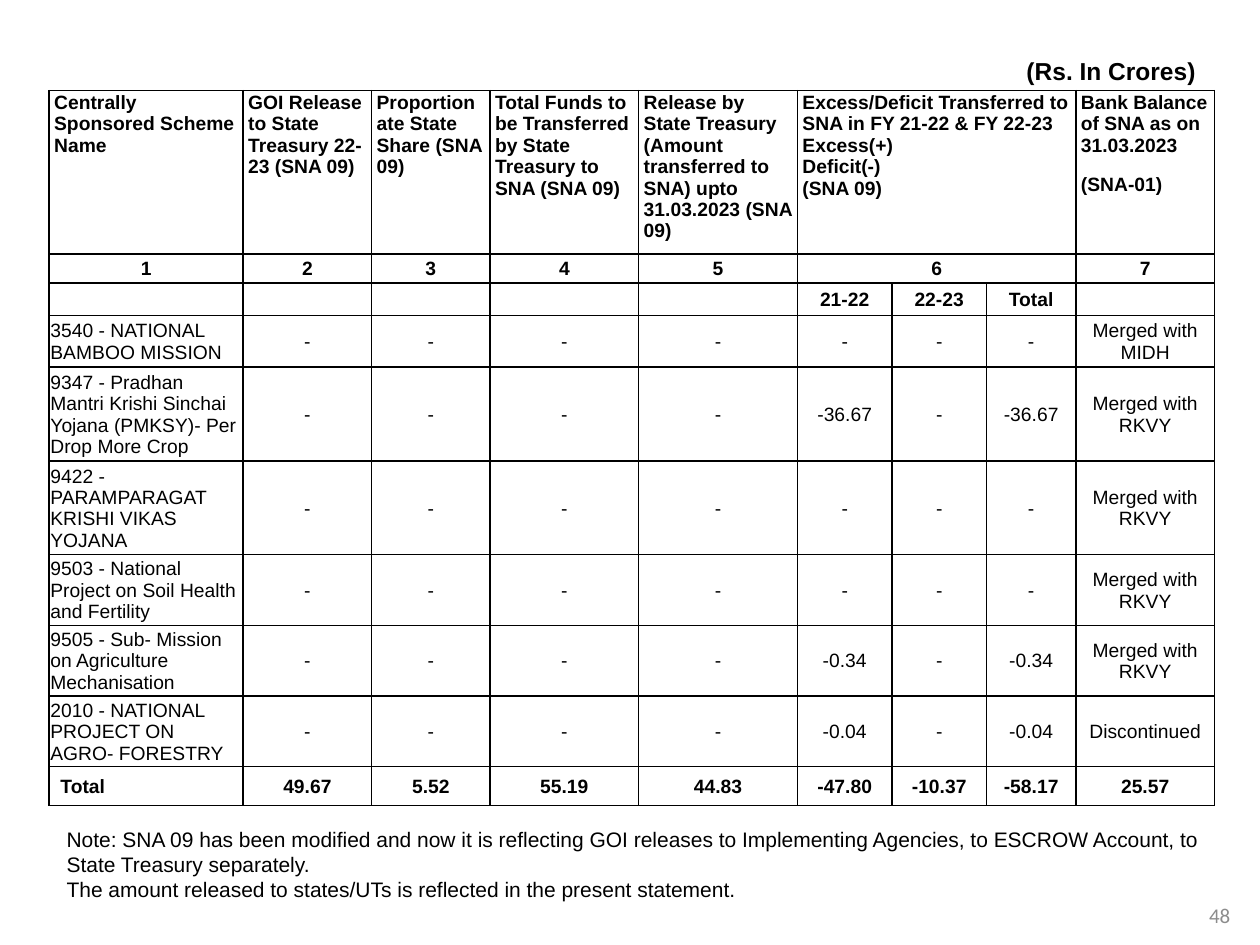
import pptx
import pptx.util
import pptx.dml.color
import pptx.enum.text
import lxml.etree

Inches, Pt = pptx.util.Inches, pptx.util.Pt
Align = pptx.enum.text.PP_ALIGN
Anchor = pptx.enum.text.MSO_ANCHOR
BLACK = pptx.dml.color.RGBColor(0, 0, 0)
GREY = pptx.dml.color.RGBColor(0x8C, 0x8C, 0x8C)


def write(frame, text, size, bold=False, align=Align.LEFT, face="Arial", color=BLACK):
    """Fill a text frame, one paragraph per line of text."""
    frame.word_wrap = True
    frame.text = text
    for para in frame.paragraphs:
        para.alignment = align
        para.font.size = Pt(size)
        para.font.bold = bold
        para.font.name = face
        para.font.color.rgb = color


def border(cell):
    """Draw a 1 pt black line on each side of a cell."""
    props = cell._tc.get_or_add_tcPr()
    for side in ("lnL", "lnR", "lnT", "lnB"):
        line = lxml.etree.SubElement(props, pptx.oxml.ns.qn("a:" + side), w=str(Pt(1)))
        fill = lxml.etree.SubElement(line, pptx.oxml.ns.qn("a:solidFill"))
        lxml.etree.SubElement(fill, pptx.oxml.ns.qn("a:srgbClr"), val=str(BLACK))


deck = pptx.Presentation()
deck.slide_width, deck.slide_height = Inches(10), Inches(7.5)
slide = deck.slides.add_slide(deck.slide_layouts[6])

# Unit line above the table
unit = slide.shapes.add_textbox(Inches(0.43), Inches(0.16), Inches(9.21), Inches(0.57)).text_frame
write(unit, "(Rs. In Crores)", 14, True, Align.RIGHT)
unit.vertical_anchor = Anchor.BOTTOM
unit.margin_right = Inches(0.15)

# Table content
DASH = ["-"] * 4
RKVY = "Merged with RKVY"
rows = [
    ["Centrally Sponsored Scheme Name",
     "GOI Release to State Treasury 22-23 (SNA 09)",
     "Proportionate State Share (SNA 09)",
     "Total Funds to be Transferred by State Treasury to SNA (SNA 09)",
     "Release by State Treasury (Amount transferred to SNA) upto 31.03.2023 (SNA 09)",
     "Excess/Deficit Transferred to SNA in FY 21-22 & FY 22-23\nExcess(+)\nDeficit(-)\n(SNA 09)",
     "", "", "Bank Balance of SNA as on 31.03.2023\n(SNA-01)"],
    ["1", "2", "3", "4", "5", "6", "", "", "7"],
    [""] * 5 + ["21-22", "22-23", "Total", ""],
    ["3540 - NATIONAL BAMBOO MISSION", *DASH, "-", "-", "-", "Merged with MIDH"],
    ["9347 - Pradhan Mantri Krishi Sinchai Yojana (PMKSY)- Per Drop More Crop",
     *DASH, "-36.67", "-", "-36.67", RKVY],
    ["9422 - PARAMPARAGAT KRISHI VIKAS YOJANA", *DASH, "-", "-", "-", RKVY],
    ["9503 - National Project on Soil Health and Fertility", *DASH, "-", "-", "-", RKVY],
    ["9505 - Sub- Mission on Agriculture Mechanisation",
     *DASH, "-0.34", "-", "-0.34", RKVY],
    ["2010 - NATIONAL PROJECT ON AGRO- FORESTRY",
     *DASH, "-0.04", "-", "-0.04", "Discontinued"],
    ["Total", "49.67", "5.52", "55.19", "44.83", "-47.80", "-10.37", "-58.17", "25.57"],
]
widths = [1.54, 1.02, 0.94, 1.18, 1.26, 0.75, 0.75, 0.71, 1.1]
heights = [1.29, 0.23, 0.26, 0.41, 0.74, 0.74, 0.56, 0.56, 0.56, 0.31]
last = len(rows) - 1

# Table grid
table = slide.shapes.add_table(len(rows), len(widths), Inches(0.39), Inches(0.72),
                               Inches(sum(widths)), Inches(sum(heights))).table
table.first_row = table.horz_banding = False
for col, width in zip(table.columns, widths):
    col.width = Inches(width)
for row, height in zip(table.rows, heights):
    row.height = Inches(height)

# Table cells
for r, texts in enumerate(rows):
    for c, text in enumerate(texts):
        cell = table.cell(r, c)
        left = r == 0 or (c == 0 and r > 2)
        side = 0.04 if r < 2 else 0.01
        cell.margin_left = Inches(0.09 if (r, c) == (last, 0) else side)
        cell.margin_right = Inches(side)
        cell.margin_top, cell.margin_bottom = Inches(0.01), 0
        cell.vertical_anchor = Anchor.TOP if r < 2 else Anchor.MIDDLE
        write(cell.text_frame, text, 11, r < 3 or r == last,
              Align.LEFT if left else Align.CENTER)
        first = cell.text_frame.paragraphs[0]
        if r == 1:
            first.line_spacing = 1.15
        if not text:
            first._p.get_or_add_endParaRPr().set("sz", "1100")
        border(cell)
        cell.fill.background()
table.cell(0, 8).text_frame.paragraphs[0].space_after = Pt(10)
for r in (0, 1):
    table.cell(r, 5).merge(table.cell(r, 7))

# Page number
page = slide.shapes.add_textbox(Inches(9.48), Inches(7.06), Inches(0.4), Inches(0.4)).text_frame
write(page, "48", 12, align=Align.CENTER, face="Calibri", color=GREY)
page.vertical_anchor = Anchor.MIDDLE

# Note below the table
note = slide.shapes.add_textbox(Inches(0.43), Inches(6.51), Inches(9.22), Inches(0.71)).text_frame
write(note, "Note: SNA 09 has been modified and now it is reflecting GOI releases to "
      "Implementing Agencies, to ESCROW Account, to State Treasury separately.\n"
      "The amount released to states/UTs is reflected in the present statement.", 12)

deck.save("out.pptx")
